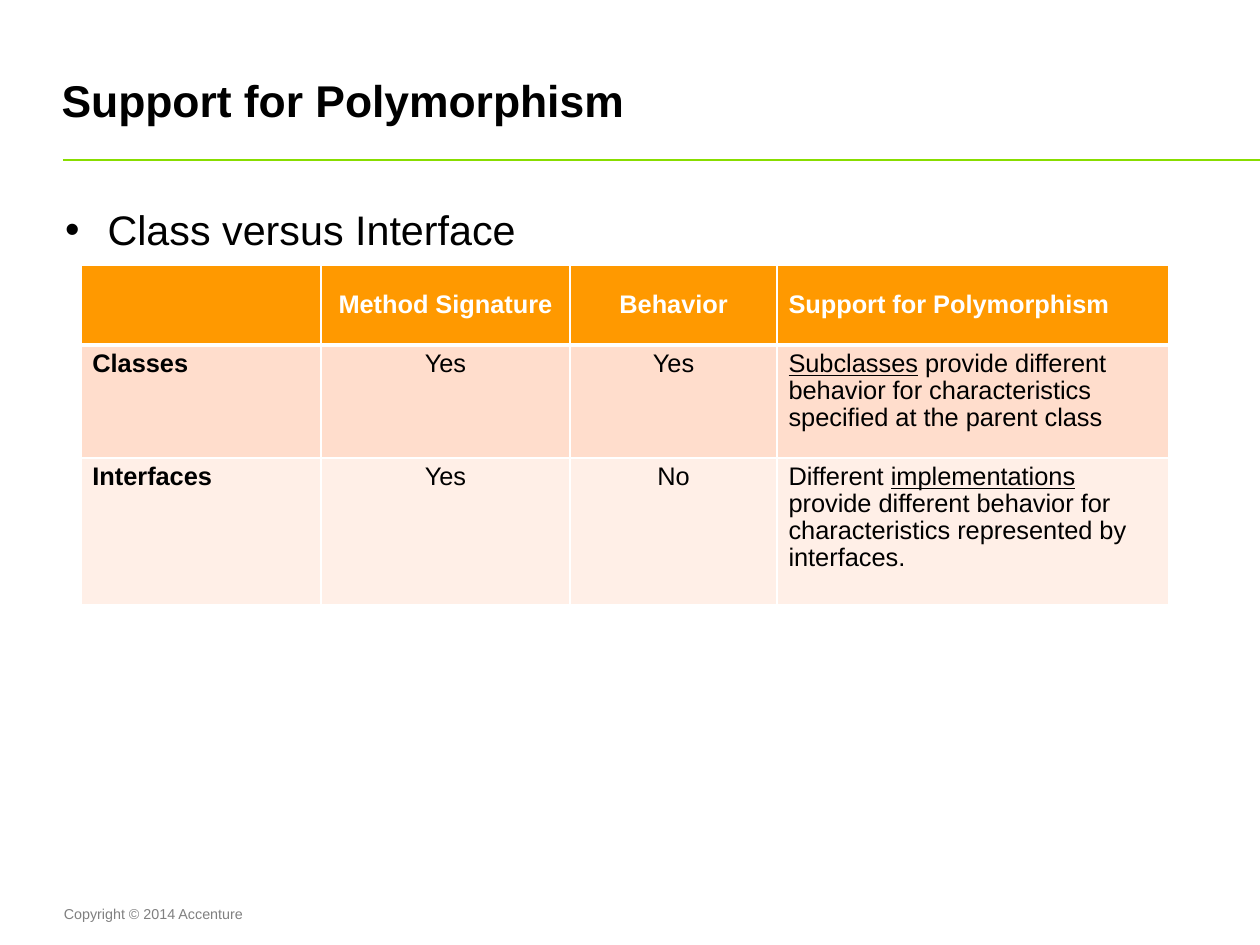
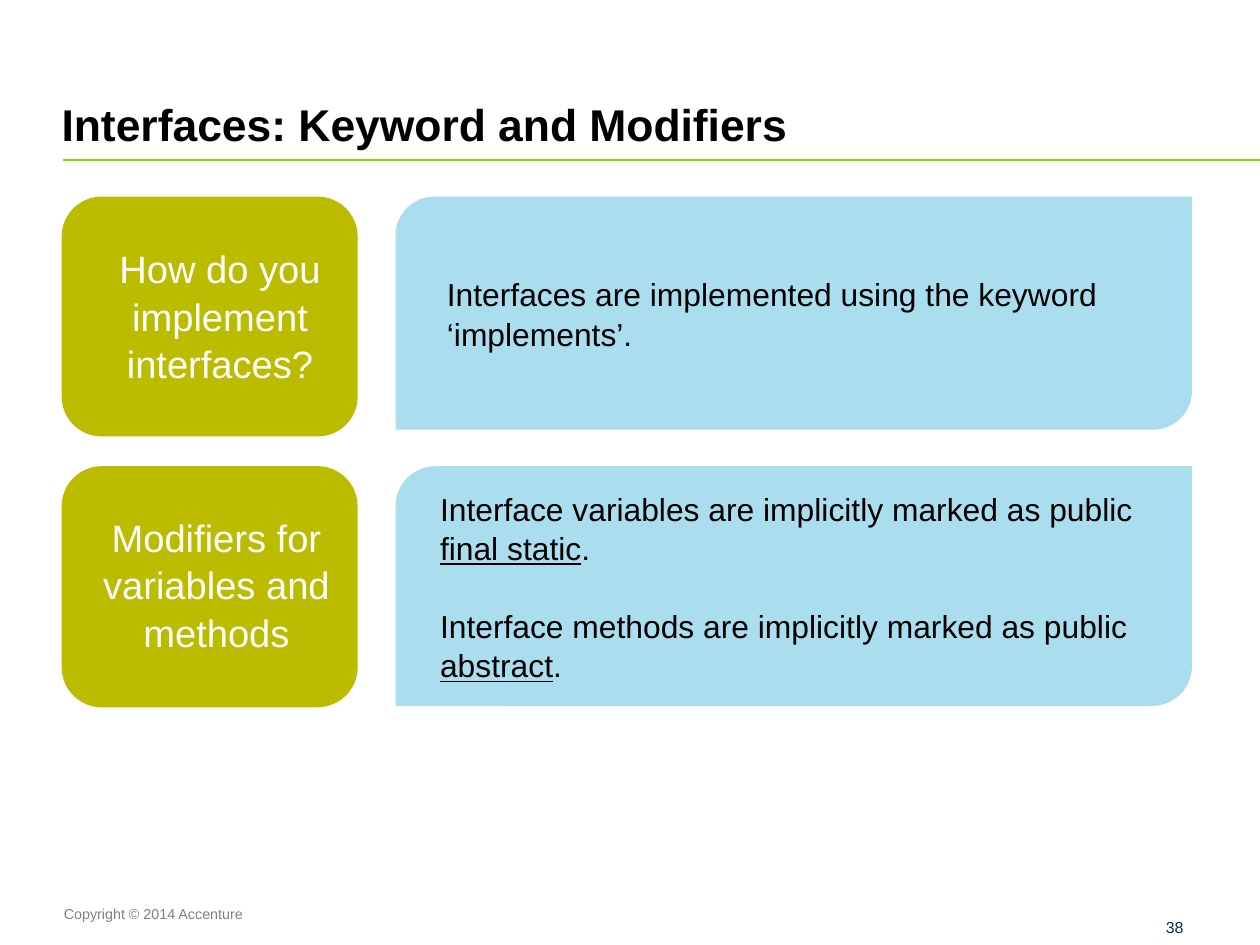
"""Build two training slides on polymorphism and interfaces."""
from dataclasses import dataclass

from lxml import etree
from pptx import Presentation
from pptx.dml.color import RGBColor
from pptx.enum.shapes import MSO_CONNECTOR, MSO_SHAPE
from pptx.enum.text import MSO_ANCHOR, PP_ALIGN
from pptx.oxml.ns import qn
from pptx.util import Cm, Pt

STRAIGHT = MSO_CONNECTOR.STRAIGHT
ROUNDED = MSO_SHAPE.ROUNDED_RECTANGLE
DIAGONAL = MSO_SHAPE.ROUND_2_DIAG_RECTANGLE
TOP, MIDDLE, BOTTOM = MSO_ANCHOR.TOP, MSO_ANCHOR.MIDDLE, MSO_ANCHOR.BOTTOM
LEFT, CENTER = PP_ALIGN.LEFT, PP_ALIGN.CENTER


@dataclass(frozen=True)
class Theme:
    """Colours, font and type sizes used by both slides."""
    font: str = "Arial"
    black: str = "000000"
    white: str = "FFFFFF"
    rule: str = "88DD00"
    footer: str = "808080"
    number: str = "003344"
    header: str = "FF9900"
    bands: tuple = ("FFDDCC", "FFEFE7")
    topic: str = "BBBB00"
    answer: str = "AADDEE"
    title_size: float = 28
    bullet_size: float = 26
    topic_size: float = 24
    answer_size: float = 20
    table_size: float = 16
    number_size: float = 10
    footer_size: float = 9
    grid_line: float = 0.96
    header_line: float = 3
    table_spacing: float = 0.96
    panel_spacing: float = 1.04


THEME = Theme()
SLIDE_WIDTH, SLIDE_HEIGHT = 28, 21
MARGIN = 1.4
RULE_TOP = 3.56
FOOTER = "Copyright © 2014 Accenture"

TABLE_TITLE = "Support for Polymorphism"
TABLE_BULLET = "Class versus Interface"
TABLE_LEFT, TABLE_TOP = 1.8, 5.89
COLUMN_WIDTHS = (5.33, 5.54, 4.6, 8.71)
COLUMN_ALIGNMENTS = (LEFT, CENTER, CENTER, LEFT)
ROW_HEIGHTS = (1.78, 2.51, 3.25)
TABLE_ROWS = [
    ["", "Method Signature", "Behavior", "Support for Polymorphism"],
    ["Classes", "Yes", "Yes", [
        ("Subclasses", True),
        (" provide different behavior for characteristics specified at the parent class", False)]],
    ["Interfaces", "Yes", "No", [
        ("Different ", False), ("implementations", True),
        (" provide different behavior for characteristics represented by interfaces.", False)]],
]

PANEL_TITLE = "Interfaces: Keyword and Modifiers"
PAGE_NUMBER = "38"
TOPIC_LEFT, TOPIC_WIDTH = 1.37, 6.58
ANSWER_LEFT, ANSWER_WIDTH = 8.79, 17.7
PANELS = [
    {"top": 4.37, "topic": "How do you implement interfaces?", "topic_height": 5.33,
     "topic_insets": (0.46, 0.79, 0, 0), "answer_height": 5.18, "indent": 0.64,
     "answer": ["Interfaces are implemented using the keyword ‘implements’."]},
    {"top": 10.36, "topic": "Modifiers for variables and methods", "topic_height": 5.36,
     "topic_insets": (0.38, 0.76, 0.08, 0), "answer_height": 5.33, "indent": 0.48,
     "answer": [
         [("Interface variables are implicitly marked as public ", False),
          ("final static", True), (".", False)],
         [("Interface methods are implicitly marked as public ", False),
          ("abstract", True), (".", False)]]},
]


def color(value):
    """Return an RGB colour from its hexadecimal form."""
    return RGBColor.from_string(value)


def write(paragraph, content, size, ink, bold=False, align=LEFT, spacing=None):
    """Fill a paragraph with plain text or (text, underlined) runs."""
    paragraph.alignment = align
    if spacing:
        paragraph.line_spacing = spacing
    runs = [(content, False)] if isinstance(content, str) else content
    for text, underlined in runs:
        run = paragraph.add_run()
        run.text = text
        run.font.name = THEME.font
        run.font.size = Pt(size)
        run.font.bold = bold
        run.font.color.rgb = color(ink)
        if underlined:
            run.font.underline = True


def indent(paragraph, left, first=0, bullet=None):
    """Set a paragraph's indents in centimetres and an optional bullet."""
    properties = paragraph._p.get_or_add_pPr()
    properties.set("marL", str(Cm(left)))
    properties.set("indent", str(Cm(first)))
    if bullet:
        etree.SubElement(properties, qn("a:buFont"), typeface=THEME.font)
        etree.SubElement(properties, qn("a:buChar"), char=bullet)


def frame_text(shape, insets=(0.25, 0.13, 0.25, 0.13), anchor=TOP):
    """Prepare a shape's text frame and return it."""
    frame = shape.text_frame
    frame.word_wrap = True
    frame.vertical_anchor = anchor
    (frame.margin_left, frame.margin_top,
     frame.margin_right, frame.margin_bottom) = map(Cm, insets)
    return frame


def add_text(slide, box, content, size, ink, bold=False, **frame_options):
    """Add a one-paragraph text box and return its paragraph."""
    shape = slide.shapes.add_textbox(*map(Cm, box))
    paragraph = frame_text(shape, **frame_options).paragraphs[0]
    write(paragraph, content, size, ink, bold)
    return paragraph


def add_panel(slide, kind, box, fill):
    """Add a filled preset shape without line or shadow."""
    shape = slide.shapes.add_shape(kind, *map(Cm, box))
    shape.shadow.inherit = False
    shape.fill.solid()
    shape.fill.fore_color.rgb = color(fill)
    shape.line.fill.background()
    return shape


def new_slide(presentation, title, title_top):
    """Add a blank slide with the shared rule, footer and title."""
    slide = presentation.slides.add_slide(presentation.slide_layouts[6])
    rule = slide.shapes.add_connector(
        STRAIGHT, Cm(MARGIN), Cm(RULE_TOP), Cm(SLIDE_WIDTH), Cm(RULE_TOP))
    rule.line.color.rgb = color(THEME.rule)
    rule.line.width = Pt(1)
    etree.SubElement(rule._element.spPr, qn("a:effectLst"))
    add_text(slide, (1.17, 19.99, 25.55, 0.63), FOOTER, THEME.footer_size, THEME.footer)
    add_text(slide, (1.37, title_top, 26.62, 2.41), title, THEME.title_size, THEME.black,
             bold=True, insets=(0, 0.13, 0.25, 0), anchor=BOTTOM)
    return slide


def set_borders(cell, **widths):
    """Draw white cell borders of the given widths in points."""
    properties = cell._tc.get_or_add_tcPr()
    for position, side in enumerate(("L", "R", "T", "B")):
        width = widths.get(side, THEME.grid_line)
        line = etree.Element(qn(f"a:ln{side}"), w=str(Pt(width)))
        fill = etree.SubElement(line, qn("a:solidFill"))
        etree.SubElement(fill, qn("a:srgbClr"), val=THEME.white)
        properties.insert(position, line)


def add_comparison(slide):
    """Add the table that compares classes with interfaces."""
    table = slide.shapes.add_table(
        len(ROW_HEIGHTS), len(COLUMN_WIDTHS), Cm(TABLE_LEFT), Cm(TABLE_TOP),
        Cm(sum(COLUMN_WIDTHS)), Cm(sum(ROW_HEIGHTS))).table
    table.first_row = table.horz_banding = False
    for column, width in zip(table.columns, COLUMN_WIDTHS):
        column.width = Cm(width)
    fills = (THEME.header, *THEME.bands)
    for row_index, (row, height, fill) in enumerate(zip(TABLE_ROWS, ROW_HEIGHTS, fills)):
        table.rows[row_index].height = Cm(height)
        is_header = row_index == 0
        borders = {0: {"B": THEME.header_line}, 1: {"T": THEME.header_line}}.get(row_index, {})
        for column_index, content in enumerate(row):
            cell = table.cell(row_index, column_index)
            cell.fill.solid()
            cell.fill.fore_color.rgb = color(fill)
            cell.vertical_anchor = MIDDLE if is_header else TOP
            set_borders(cell, **borders)
            if content:
                write(cell.text_frame.paragraphs[0], content, THEME.table_size,
                      THEME.white if is_header else THEME.black,
                      is_header or column_index == 0,
                      COLUMN_ALIGNMENTS[column_index], THEME.table_spacing)


def build_table_slide(presentation):
    """Build the slide with the comparison table."""
    slide = new_slide(presentation, TABLE_TITLE, 0.41)
    bullet = add_text(slide, (1.42, 4.42, 25.22, 1.4), TABLE_BULLET,
                      THEME.bullet_size, THEME.black, insets=(0, 0.13, 0.25, 0.13))
    indent(bullet, 0.97, -0.94, "•")
    add_comparison(slide)


def build_panel_slide(presentation):
    """Build the slide with topics and their answers."""
    slide = new_slide(presentation, PANEL_TITLE, 0.94)
    for panel in PANELS:
        topic = add_panel(slide, ROUNDED, (TOPIC_LEFT, panel["top"], TOPIC_WIDTH,
                                           panel["topic_height"]), THEME.topic)
        frame = frame_text(topic, panel["topic_insets"])
        write(frame.paragraphs[0], panel["topic"], THEME.topic_size, THEME.white,
              align=CENTER, spacing=THEME.panel_spacing)
        answer = add_panel(slide, DIAGONAL, (ANSWER_LEFT, panel["top"], ANSWER_WIDTH,
                                             panel["answer_height"]), THEME.answer)
        frame = frame_text(answer, anchor=MIDDLE)
        for index, content in enumerate(panel["answer"]):
            paragraph = frame.add_paragraph() if index else frame.paragraphs[0]
            indent(paragraph, panel["indent"])
            write(paragraph, content, THEME.answer_size, THEME.black,
                  spacing=THEME.panel_spacing)
            if index:
                paragraph.space_before = Pt(24)
    add_text(slide, (25.91, 20.02, 1.93, 0.79), PAGE_NUMBER, THEME.number_size,
             THEME.number, insets=(0, 0, 0, 0), anchor=BOTTOM)


def main():
    """Create and save the presentation."""
    presentation = Presentation()
    presentation.slide_width = Cm(SLIDE_WIDTH)
    presentation.slide_height = Cm(SLIDE_HEIGHT)
    build_table_slide(presentation)
    build_panel_slide(presentation)
    presentation.save("out.pptx")


if __name__ == "__main__":
    main()
